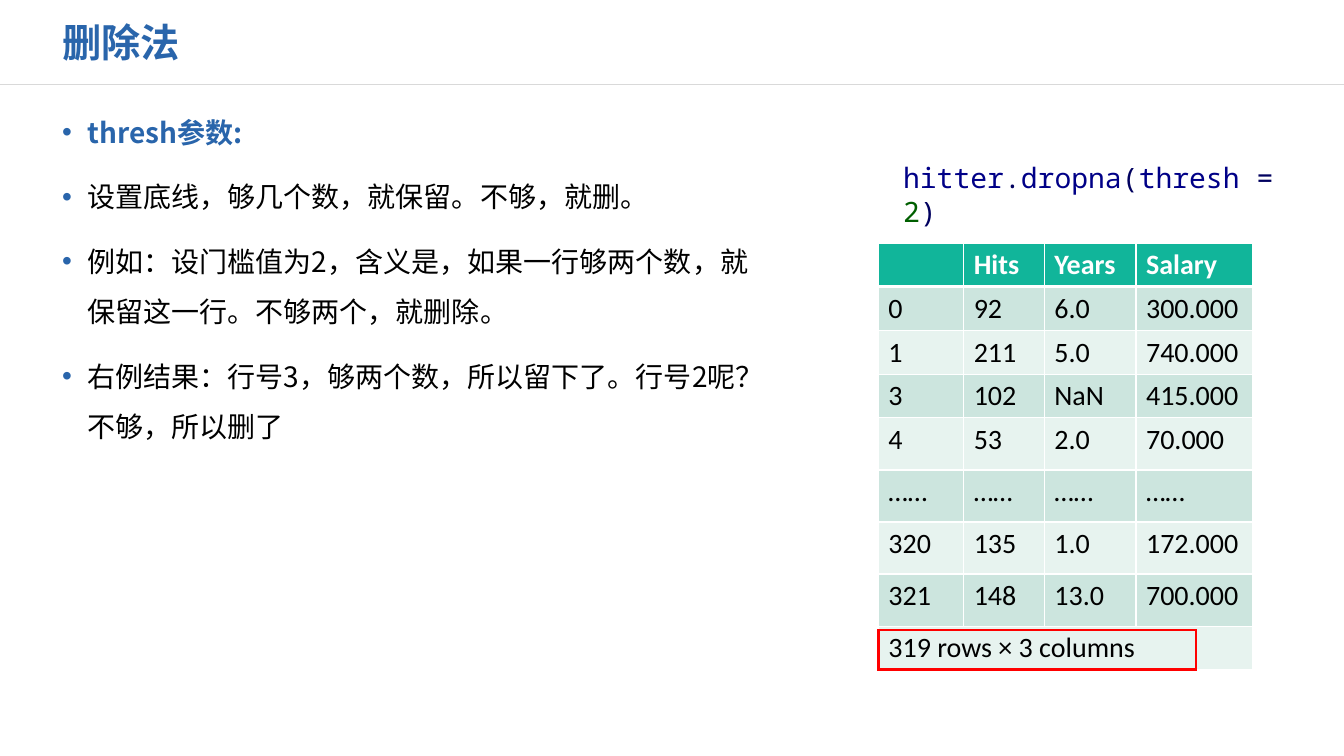
from pptx import Presentation
from pptx.dml.color import RGBColor
from pptx.enum.shapes import MSO_CONNECTOR, MSO_SHAPE
from pptx.enum.text import MSO_ANCHOR, PP_ALIGN
from pptx.oxml.ns import qn
from pptx.util import Pt
from lxml import etree

STRAIGHT, RECT = MSO_CONNECTOR.STRAIGHT, MSO_SHAPE.RECTANGLE
TOP, MIDDLE, LEFT = MSO_ANCHOR.TOP, MSO_ANCHOR.MIDDLE, PP_ALIGN.LEFT
CJK, MONO, LATIN = "Noto Sans CJK SC", "Noto Sans Mono", "Calibri"
BLUE, BLACK, WHITE, TEAL = "2965AB", "000000", "FFFFFF", "11B59A"
NAVY, DARK, GREEN = "000087", "00005F", "005F00"
BANDS = ["CCE5DE", "E7F3EF"]

TITLE = "删除法"
BULLETS = [
    "thresh参数:",
    "设置底线，够几个数，就保留。不够，就删。",
    "例如：设门槛值为2，含义是，如果一行够两个数，就保留这一行。不够两个，就删除。",
    "右例结果：行号3，够两个数，所以留下了。行号2呢？不够，所以删了",
]
CODE = [("hitter", NAVY), (".", DARK), ("dropna", NAVY), ("(", DARK),
        ("thresh ", NAVY), ("= ", DARK), ("2", GREEN), (")", DARK)]
ROWS = [
    ["", "Hits", "Years", "Salary"],
    ["0", "92", "6.0", "300.000"],
    ["1", "211", "5.0", "740.000"],
    ["3", "102", "NaN", "415.000"],
    ["4", "53", "2.0", "70.000"],
    ["……", "……", "……", "……"],
    ["320", "135", "1.0", "172.000"],
    ["321", "148", "13.0", "700.000"],
    ["319 rows × 3 columns", "", "", ""],
]
COL_WIDTHS = [61, 57.6, 65.5, 83.5]
ROW_HEIGHTS = [31.2] * 4 + [37.2] * 4 + [31.2]
TABLE_LEFT, TABLE_TOP = 627.4, 173.5


def rgb(value):
    return RGBColor.from_string(value)


def set_attrs(obj, values):
    for name, value in values.items():
        setattr(obj, name, value)


def add_run(p, text, font, size, color, bold=False):
    r = p.add_run()
    r.text = text
    set_attrs(r.font, {"name": font, "size": Pt(size), "bold": bold})
    r.font.color.rgb = rgb(color)
    etree.SubElement(r._r.get_or_add_rPr(), qn("a:ea"), typeface=font)


def add_bullet(p):
    pPr = p._p.get_or_add_pPr()
    pPr.set("marL", str(Pt(18)))
    pPr.set("indent", str(-Pt(18)))
    color = etree.SubElement(pPr, qn("a:buClr"))
    etree.SubElement(color, qn("a:srgbClr"), val=BLUE)
    etree.SubElement(pPr, qn("a:buFont"), typeface="Arial")
    etree.SubElement(pPr, qn("a:buChar"), char="•")


def add_text_box(s, left, top, width, height):
    tf = s.shapes.add_textbox(Pt(left), Pt(top), Pt(width), Pt(height)).text_frame
    set_attrs(tf, {"word_wrap": True, "vertical_anchor": TOP})
    return tf


def set_borders(cell, widths):
    tcPr = cell._tc.get_or_add_tcPr()
    for side, width in widths.items():
        ln = etree.SubElement(tcPr, qn("a:ln" + side), w=str(Pt(width)))
        fill = etree.SubElement(ln, qn("a:solidFill"))
        etree.SubElement(fill, qn("a:srgbClr"), val=WHITE)


def add_title(s):
    title = s.shapes.title
    set_attrs(title, {"left": Pt(37.4), "top": Pt(9), "width": Pt(383), "height": Pt(41.8)})
    tf = title.text_frame
    set_attrs(tf, {"word_wrap": True, "vertical_anchor": MIDDLE})
    p = tf.paragraphs[0]
    p.alignment = LEFT
    add_run(p, TITLE, CJK, 28, BLUE, True)
    rule = s.shapes.add_connector(STRAIGHT, 0, Pt(60.5), Pt(960), Pt(60.5))
    rule.line.color.rgb = rgb("D9D9D9")
    rule.line.width = Pt(1)
    etree.SubElement(rule._element.spPr, qn("a:effectLst"))


def add_bullets(s):
    tf = add_text_box(s, 37.4, 67, 521.3, 368)
    for i, text in enumerate(BULLETS):
        p = tf.paragraphs[0] if i == 0 else tf.add_paragraph()
        add_bullet(p)
        set_attrs(p, {"line_spacing": 1.5, "space_before": Pt(10 if i else 0)})
        add_run(p, text, CJK, 20, BLACK if i else BLUE, i == 0)


def add_code(s):
    p = add_text_box(s, 638, 111.2, 312, 56).paragraphs[0]
    for text, color in CODE:
        add_run(p, text, MONO, 20, color)


def add_result_table(s):
    table = s.shapes.add_table(len(ROWS), len(COL_WIDTHS), Pt(TABLE_LEFT), Pt(TABLE_TOP),
                               Pt(sum(COL_WIDTHS)), Pt(sum(ROW_HEIGHTS))).table
    for column, width in zip(table.columns, COL_WIDTHS):
        column.width = Pt(width)
    for i, (row, height) in enumerate(zip(ROWS, ROW_HEIGHTS)):
        table.rows[i].height = Pt(height)
        for j, text in enumerate(row):
            cell = table.cell(i, j)
            set_borders(cell, {"L": 1, "R": 1, "T": 3 if i == 1 else 1, "B": 1 if i else 3})
            cell.fill.solid()
            cell.fill.fore_color.rgb = rgb(BANDS[(i - 1) % 2] if i else TEAL)
            if text:
                add_run(cell.text_frame.paragraphs[0], text, LATIN, 20,
                        BLACK if i else WHITE, i == 0)
    last = len(ROWS) - 1
    table.cell(last, 0).merge(table.cell(last, len(COL_WIDTHS) - 1))


def add_highlight(s):
    sp = s.shapes.add_shape(RECT, Pt(TABLE_LEFT), Pt(450), Pt(227), Pt(28.2))
    sp.shadow.inherit = False
    sp.fill.background()
    sp.line.color.rgb = rgb("FF0000")
    sp.line.width = Pt(2)
    etree.SubElement(sp.line._get_or_add_ln(), qn("a:miter"), lim="800000")


def main():
    prs = Presentation()
    set_attrs(prs, {"slide_width": Pt(960), "slide_height": Pt(540)})
    s = prs.slides.add_slide(prs.slide_layouts[5])
    for add_part in (add_title, add_bullets, add_code, add_result_table, add_highlight):
        add_part(s)
    prs.save("out.pptx")


if __name__ == "__main__":
    main()
